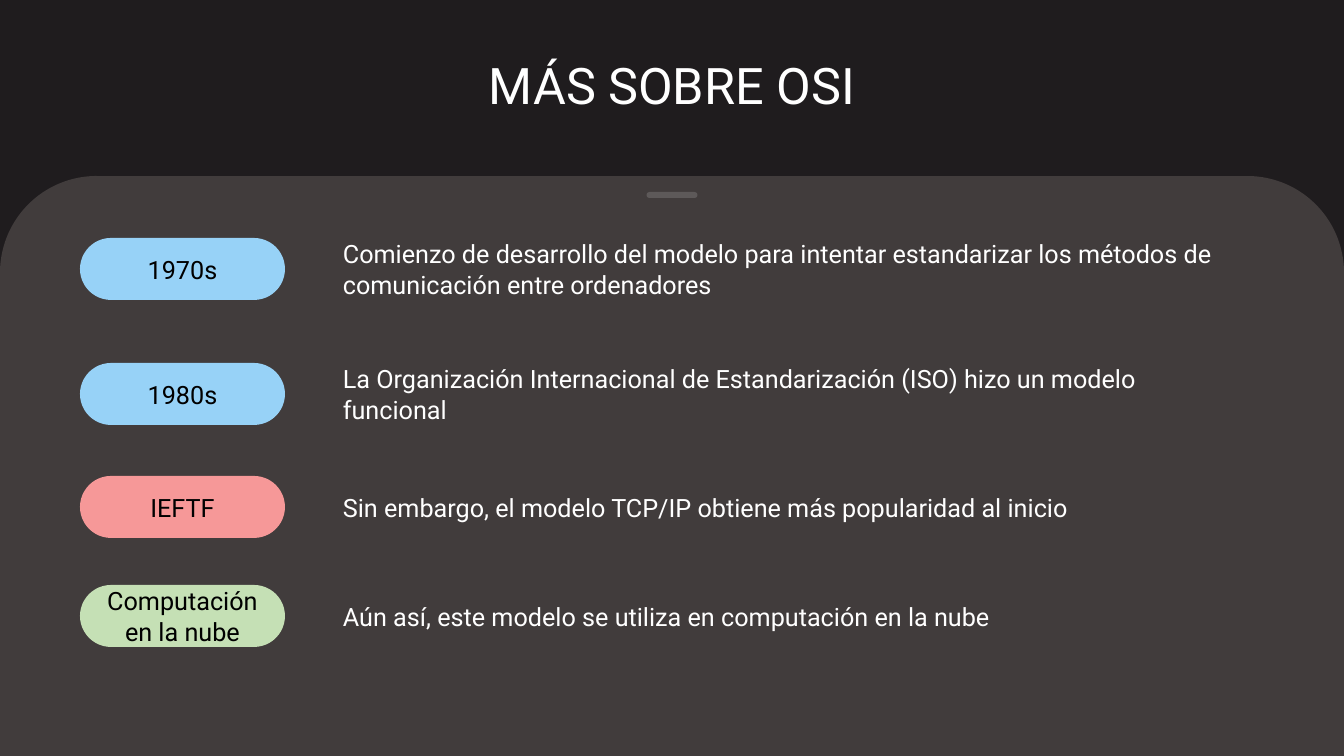
from lxml import etree
from pptx import Presentation
from pptx.dml.color import RGBColor
from pptx.enum.shapes import MSO_SHAPE as Shape
from pptx.enum.text import MSO_ANCHOR as Anchor, MSO_AUTO_SIZE as AutoSize, PP_ALIGN as Align
from pptx.oxml.ns import qn
from pptx.util import Pt

TITLE = "MÁS SOBRE OSI"
# label, pill colour, vertical centre in px, number of text lines, text
ROWS = [
    ("1970s", "blue", 269, 2,
     "Comienzo de desarrollo del modelo para intentar estandarizar "
     "los métodos de comunicación entre ordenadores"),
    ("1980s", "blue", 394, 2,
     "La Organización Internacional de Estandarización (ISO) hizo un modelo funcional"),
    ("IEFTF", "red", 507, 1,
     "Sin embargo, el modelo TCP/IP obtiene más popularidad al inicio"),
    ("Computación en la nube", "green", 616, 1,
     "Aún así, este modelo se utiliza en computación en la nube"),
]

THEME = {
    "font": "Roboto", "title_size": 36, "body_size": 18,
    "background": "1F1C1E", "panel": "413C3C", "light": "FFFFFF", "dark": "000000",
    "blue": "97D2F7", "red": "F69898", "green": "C5E0B5",
}

EMU_PER_PX = 914400 / 100.8
SLIDE_WIDTH, SLIDE_HEIGHT = 1344, 756
HEADER_HEIGHT = 176
HANDLE_WIDTH, HANDLE_HEIGHT, HANDLE_TOP = 51, 6, 192
PILL_LEFT, PILL_WIDTH, PILL_HEIGHT = 80, 205, 62
TEXT_LEFT, TEXT_WIDTH, LINE_HEIGHT, TEXT_PADDING = 333, 911, 31, 10


def px(*lengths):
    return [round(length * EMU_PER_PX) for length in lengths]


def color(name):
    return RGBColor.from_string(THEME[name])


def add_block(slide, kind, box, fill):
    shape = slide.shapes.add_shape(kind, *px(*box))
    shape.shadow.inherit = False
    shape.fill.solid()
    shape.fill.fore_color.rgb = color(fill)
    shape.line.fill.background()
    if kind == Shape.ROUNDED_RECTANGLE:
        shape.adjustments[0] = 0.5
    return shape


def write(shape, text, ink, size, auto_size=AutoSize.NONE, **paragraph_format):
    frame = shape.text_frame
    frame_format = {"word_wrap": True, "auto_size": auto_size,
                    "vertical_anchor": Anchor.MIDDLE}
    for name, value in frame_format.items():
        setattr(frame, name, value)
    paragraph = frame.paragraphs[0]
    for name, value in paragraph_format.items():
        setattr(paragraph, name, value)
    run = paragraph.add_run()
    run.text = text
    run.font.name = THEME["font"]
    run.font.size = Pt(THEME[size])
    run.font.color.rgb = color(ink)


def set_opacity(shape, percent):
    fill_color = shape.fill._xPr.find(qn("a:solidFill"))[0]
    etree.SubElement(fill_color, qn("a:alpha"), val=str(percent * 1000))


def add_header_and_panel(slide):
    add_block(slide, Shape.ROUND_2_SAME_RECTANGLE,
              (0, HEADER_HEIGHT, SLIDE_WIDTH, SLIDE_HEIGHT - HEADER_HEIGHT), "panel")
    title = slide.shapes.add_textbox(*px(101, 0, SLIDE_WIDTH - 2 * 101, HEADER_HEIGHT))
    write(title, TITLE, "light", "title_size", alignment=Align.CENTER, line_spacing=0.9)
    handle_left = (SLIDE_WIDTH - HANDLE_WIDTH) / 2
    handle = add_block(slide, Shape.ROUNDED_RECTANGLE,
                       (handle_left, HANDLE_TOP, HANDLE_WIDTH, HANDLE_HEIGHT), "light")
    set_opacity(handle, 15)


def add_row(slide, label, fill, center, lines, text):
    pill = add_block(slide, Shape.ROUNDED_RECTANGLE,
                     (PILL_LEFT, center - PILL_HEIGHT / 2, PILL_WIDTH, PILL_HEIGHT), fill)
    write(pill, label, "dark", "body_size", alignment=Align.CENTER)
    height = TEXT_PADDING + lines * LINE_HEIGHT
    box = slide.shapes.add_textbox(*px(TEXT_LEFT, center - height / 2, TEXT_WIDTH, height))
    write(box, text, "light", "body_size", AutoSize.SHAPE_TO_FIT_TEXT)


def main():
    presentation = Presentation()
    presentation.slide_width, presentation.slide_height = px(SLIDE_WIDTH, SLIDE_HEIGHT)
    slide = presentation.slides.add_slide(presentation.slide_layouts[6])
    slide.background.fill.solid()
    slide.background.fill.fore_color.rgb = color("background")
    add_header_and_panel(slide)
    for row in ROWS:
        add_row(slide, *row)
    presentation.save("out.pptx")


if __name__ == "__main__":
    main()
